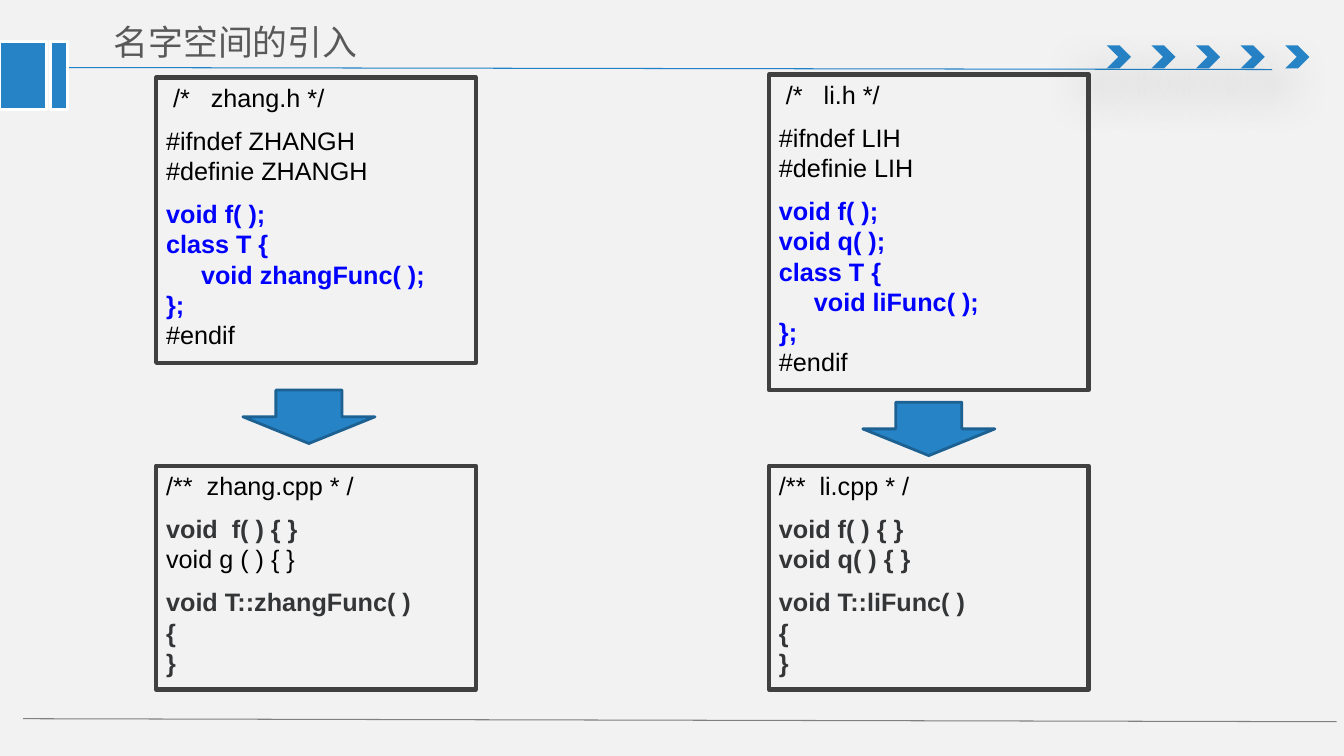
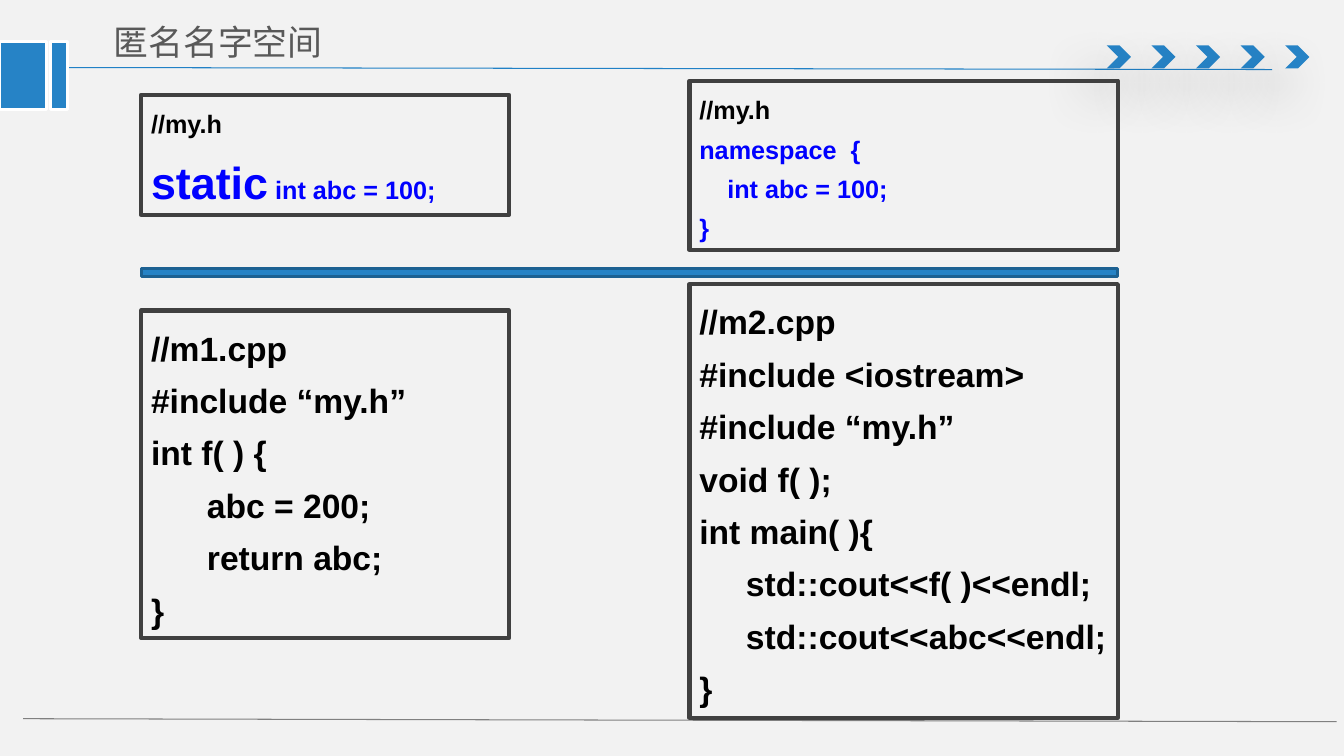
from lxml import etree
from pptx import Presentation
from pptx import util as u
from pptx.dml.color import RGBColor
from pptx.enum import shapes, text
from pptx.oxml import parse_xml
from pptx.oxml.ns import nsdecls, qn

# Grid: 160 columns by 90 rows of square cells
CELL = u.Inches(1) // 12
BLUE, EDGE, FRAME, WHITE = "2683C6", "1C6192", "404040", "FFFFFF"
BLACK, KEYWORD, CODE, TITLE = "000000", "0000FF", "343537", "595959"
LATIN, CJK = "Arial", "Noto Sans CJK SC"
KIND = shapes.MSO_SHAPE


def draw(slide, kind, box, fill=None, line=None, width=2):
    """Add a preset shape; box is left, top, width, height in cells."""
    shape = slide.shapes.add_shape(kind, *(int(n * CELL) for n in box))
    shape.shadow.inherit = False
    if fill:
        shape.fill.solid()
        shape.fill.fore_color.rgb = RGBColor.from_string(fill)
    else:
        shape.fill.background()
    if line:
        shape.line.color.rgb = RGBColor.from_string(line)
        shape.line.width = u.Pt(width)
    else:
        shape.line.fill.background()
    return shape


def write_code(slide, box, paragraphs, gap=0, spacing=None):
    """Add a framed listing; a paragraph is a list of (text, size, colour, bold)."""
    frame = draw(slide, KIND.RECTANGLE, box, line=FRAME, width=3).text_frame
    frame.word_wrap = True
    frame.vertical_anchor = text.MSO_ANCHOR.TOP
    for i, pieces in enumerate(paragraphs):
        para = frame.paragraphs[0] if i == 0 else frame.add_paragraph()
        para.alignment = text.PP_ALIGN.LEFT
        para.line_spacing = spacing
        if i and gap:
            para.space_before = u.Pt(gap)
        fonts = [(para.font, pieces[0])]
        for piece in pieces:
            for j, row in enumerate(piece[0].split("\n")):
                if j:
                    para.add_line_break()
                if row:
                    run = para.add_run()
                    run.text = row
                    if piece[1:] != pieces[0][1:]:
                        fonts.append((run.font, piece))
        for font, (_, size, colour, bold) in fonts:
            font.name, font.size, font.bold = LATIN, u.Pt(size), bold
            font.color.rgb = RGBColor.from_string(colour)


prs = Presentation()
prs.slide_width, prs.slide_height = 160 * CELL, 90 * CELL
prs.slide_master.background.fill.solid()
prs.slide_master.background.fill.fore_color.rgb = RGBColor.from_string("F2F2F2")

# Title-only layout: place the title, drop the unused footers
layout = prs.slide_layouts[5]
for holder in list(layout.placeholders)[1:]:
    holder.element.getparent().remove(holder.element)
heading = layout.placeholders[0]
heading.left, heading.top, heading.width, heading.height = (
    int(n * CELL) for n in (11.88, 1.68, 55.56, 6.6))
margins = heading.text_frame
margins.margin_left = margins.margin_right = u.Inches(0.14)
margins.margin_top = margins.margin_bottom = u.Inches(0.07)

# Slides and their titles
intro, anonymous = slides = [prs.slides.add_slide(layout) for _ in range(2)]
for slide, title in zip(slides, ("名字空间的引入", "匿名名字空间")):
    slide.shapes.title.text_frame.text = title
    para = slide.shapes.title.text_frame.paragraphs[0]
    para.alignment = text.PP_ALIGN.LEFT
    para.font.name, para.font.size = CJK, u.Pt(24.9)
    para.font.color.rgb = RGBColor.from_string(TITLE)
    latin = para.font._element.find(qn("a:latin"))
    east_asian = etree.Element(qn("a:ea"), typeface=CJK)
    latin.addnext(east_asian)

# Shared decoration: drawn once, then moved into the layout
decoration = []
for ends, colour in (((6.36, 8.04, 151.44, 8.28), "2181C6"),
                     ((2.76, 85.56, 159.12, 85.92), "808080")):
    rule = intro.shapes.add_connector(shapes.MSO_CONNECTOR.STRAIGHT,
                                      *(int(n * CELL) for n in ends))
    rule.line.color.rgb = RGBColor.from_string(colour)
    rule.line.width = u.Pt(0.75)
    etree.SubElement(rule._element.spPr, qn("a:effectLst"))
    decoration.append(rule)
for i in range(5):
    chevron = draw(intro, KIND.CHEVRON, (131.76 + 5.31 * i, 5.4, 2.88, 2.76), BLUE)
    chevron._element.spPr.find(qn("a:effectLst")).append(parse_xml(
        f'<a:outerShdw {nsdecls("a")} blurRad="{u.Pt(36)}" dist="{u.Pt(24)}" '
        f'dir="{130 * 60000}" rotWithShape="0"><a:srgbClr val="{BLACK}">'
        '<a:alpha val="38000"/></a:srgbClr></a:outerShdw>'))
    decoration.append(chevron)
for left, width in ((0, 5.52), (6, 2.04)):
    decoration.append(draw(intro, KIND.RECTANGLE, (left, 4.92, width, 8.16), BLUE, WHITE))
for part in decoration:
    layout.shapes._spTree.append(part._element)

# Slide 1: each author's header above the source file
authors = [
    (18.6, 9.24, 33.96, (28.92, 46.44),
     [[(" /*   zhang.h */", 18, BLACK, False)],
      [("#ifndef ZHANGH\n#definie ZHANGH", 18, BLACK, False)],
      [("void f( );\nclass T {\n     void zhangFunc( );\n};\n", 18, KEYWORD, True),
       ("#endif", 18, BLACK, False)]],
     [[("/**  zhang.cpp * /", 18, BLACK, False)],
      [("void  f( ) { }\n", 18, CODE, True), ("void g ( ) { }", 18, BLACK, False)],
      [("void T::zhangFunc( )\n{\n}", 18, CODE, True)]]),
    (91.56, 8.88, 37.56, (102.72, 47.88),
     [[(" /*   li.h */", 18, BLACK, False)],
      [("#ifndef LIH\n#definie LIH", 18, BLACK, False)],
      [("void f( );\nvoid q( );\nclass T {\n     void liFunc( );\n};\n", 18, KEYWORD, True),
       ("#endif", 18, BLACK, False)]],
     [[("/**  li.cpp * /", 18, BLACK, False)],
      [("void f( ) { }\nvoid q( ) { }", 18, CODE, True)],
      [("void T::liFunc( )\n{\n}", 18, CODE, True)]]),
]
for left, top, height, arrow, header, source in authors:
    write_code(intro, (left, top, 38.04, height), header, gap=9)
    write_code(intro, (left, 55.44, 38.04, 26.64), source, gap=9)
    draw(intro, KIND.DOWN_ARROW, (*arrow, 15.72, 6.36), BLUE, EDGE)

# Slide 2: two headers above the bar, two source files below it
listings = [
    ((82.08, 9.6, 51, 20.16),
     [[("//my.h", 18, BLACK, True)],
      [("namespace  {\n    int abc = 100;\n}", 18, KEYWORD, True)]]),
    ((16.8, 36.96, 43.8, 39),
     [[(row, 24, BLACK, True)] for row in (
         "//m1.cpp", "#include “my.h”", "int f( ) {",
         "      abc = 200;", "      return abc;\n}")]),
    ((16.8, 11.28, 43.8, 14.28),
     [[("//my.h\n", 18, BLACK, True), ("static", 32, KEYWORD, True),
       (" int abc = 100;", 18, KEYWORD, True)]]),
    ((82.08, 33.84, 51, 51.6),
     [[(row, 24, BLACK, True)] for row in (
         "//m2.cpp", "#include <iostream>", "#include “my.h”", "void f( );",
         "int main( ){\n     std::cout<<f( )<<endl;\n     std::cout<<abc<<endl;", "}")]),
]
for box, paragraphs in listings:
    write_code(anonymous, box, paragraphs, spacing=1.3)
draw(anonymous, KIND.RECTANGLE, (16.8, 31.92, 116.28, 0.96), BLUE, EDGE)

prs.save("out.pptx")
